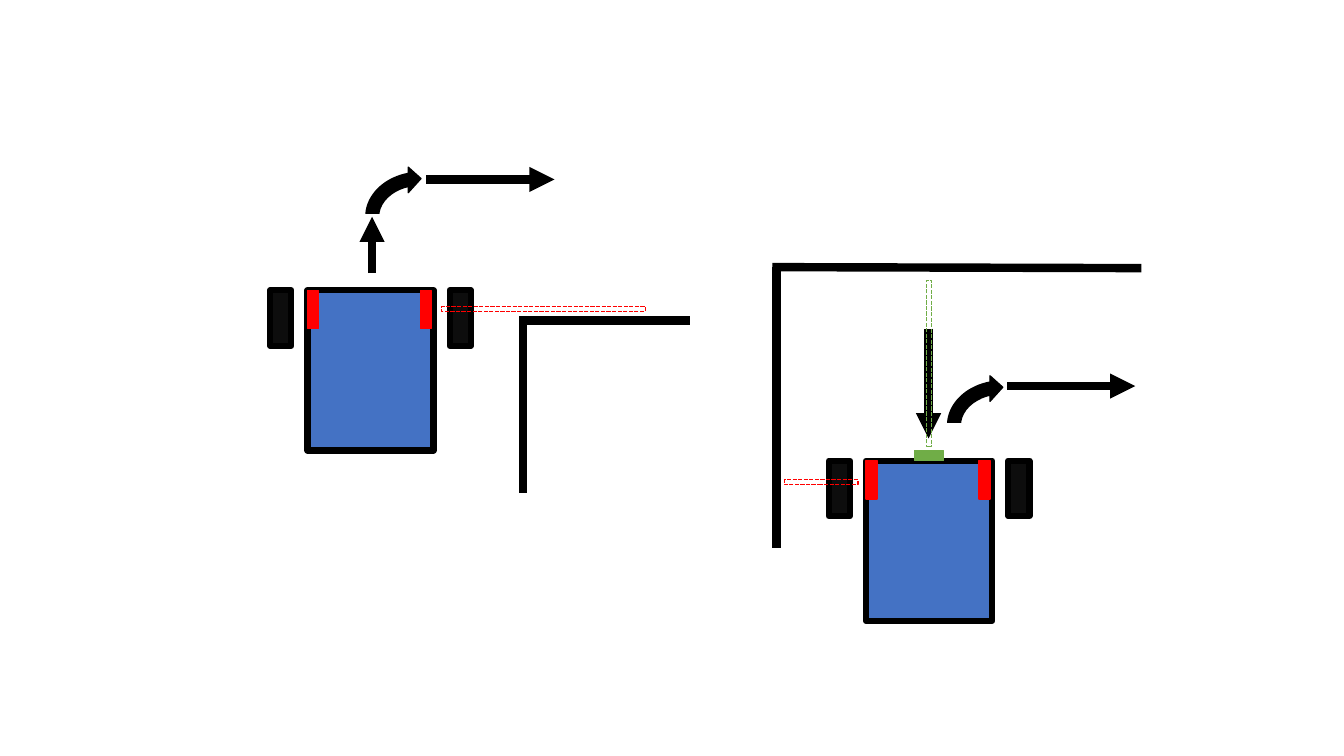
from dataclasses import dataclass

from lxml import etree
from pptx import Presentation
from pptx.dml.color import RGBColor
from pptx.enum import dml, shapes
from pptx.oxml import ns
from pptx.util import Inches, Pt

BLACK = RGBColor(0x00, 0x00, 0x00)
TYRE = RGBColor(0x0D, 0x0D, 0x0D)
WHITE = RGBColor(0xFF, 0xFF, 0xFF)
BLUE = RGBColor(0x44, 0x72, 0xC4)
RED = RGBColor(0xFF, 0x00, 0x00)
GREEN = RGBColor(0x70, 0xAD, 0x47)


@dataclass(frozen=True)
class Block:
    left: float
    top: float
    width: float
    height: float
    fill: RGBColor | None
    outline: RGBColor
    weight: float = 1
    kind: shapes.MSO_SHAPE = shapes.MSO_SHAPE.RECTANGLE
    rotation: float = 0


@dataclass(frozen=True)
class Stroke:
    x1: float
    y1: float
    x2: float
    y2: float


@dataclass(frozen=True)
class Scene:
    walls: tuple[Stroke, ...]
    turn: tuple[float, float]
    moves: tuple[Stroke, ...]
    robot: tuple[float, float]
    sensing: tuple[Block, ...]


ROBOT = (
    Block(0, 0, 1.25, 1.59, BLUE, BLACK, 4.5),
    *(Block(x, 0, 0.21, 0.55, TYRE, BLACK, 4.5) for x in (-0.37, 1.41)),
    *(Block(x, 0, 0.11, 0.38, RED, RED) for x in (1.12, 0)),
)
TURN = (
    Block(0, 0, 1.01, 1.22, BLACK, BLACK, 1, shapes.MSO_SHAPE.CIRCULAR_ARROW, 270),
    Block(-0.37, 0.59, 1.08, 0.53, WHITE, WHITE),
)

SCENES = (
    Scene(
        walls=(Stroke(5.19, 3.14, 5.19, 4.89), Stroke(5.19, 3.18, 6.84, 3.18)),
        turn=(3.67, 1.54),
        moves=(Stroke(3.69, 2.71, 3.69, 2.15), Stroke(4.23, 1.78, 5.5, 1.78)),
        robot=(3.05, 2.88),
        sensing=(Block(4.38, 3.04, 2.02, 0.05, None, RED),),
    ),
    Scene(
        walls=(Stroke(7.7, 2.65, 7.7, 5.44), Stroke(7.66, 2.65, 11.32, 2.66)),
        turn=(9.44, 3.61),
        moves=(Stroke(9.21, 3.26, 9.21, 4.35), Stroke(9.99, 3.83, 11.26, 3.83)),
        robot=(8.59, 4.57),
        sensing=(
            Block(7.78, 4.76, 0.73, 0.05, None, RED),
            Block(9.07, 4.47, 0.29, 0.1, GREEN, GREEN),
            Block(9.19, 2.78, 0.05, 1.65, None, GREEN),
        ),
    ),
)


def draw_block(canvas, block: Block, dx: float = 0, dy: float = 0) -> None:
    shape = canvas.add_shape(
        block.kind,
        Inches(block.left + dx), Inches(block.top + dy),
        Inches(block.width), Inches(block.height),
    )
    shape.rotation = block.rotation
    shape.shadow.inherit = False
    shape.line.color.rgb = block.outline
    shape.line.width = Pt(block.weight)
    if block.fill is None:
        shape.fill.background()
        shape.line.dash_style = dml.MSO_LINE.SQUARE_DOT
    else:
        shape.fill.solid()
        shape.fill.fore_color.rgb = block.fill


def draw_group(canvas, blocks: tuple[Block, ...], origin: tuple[float, float]) -> None:
    group = canvas.add_group_shape()
    for block in blocks:
        draw_block(group.shapes, block, *origin)


def draw_stroke(canvas, stroke: Stroke, arrow: bool = False) -> None:
    line = canvas.add_connector(
        shapes.MSO_CONNECTOR.STRAIGHT,
        Inches(stroke.x1), Inches(stroke.y1), Inches(stroke.x2), Inches(stroke.y2),
    )
    line.line.color.rgb = BLACK
    line.line.width = Pt(6)
    if arrow:
        etree.SubElement(line.line._get_or_add_ln(), ns.qn("a:tailEnd"), type="triangle")
    etree.SubElement(line._element.spPr, ns.qn("a:effectLst"))


def draw_scene(canvas, scene: Scene) -> None:
    for wall in scene.walls:
        draw_stroke(canvas, wall)
    draw_group(canvas, TURN, scene.turn)
    for move in scene.moves:
        draw_stroke(canvas, move, arrow=True)
    draw_group(canvas, ROBOT, scene.robot)
    for block in scene.sensing:
        draw_block(canvas, block)


def main() -> None:
    deck = Presentation()
    deck.slide_width = Inches(13.33)
    deck.slide_height = Inches(7.5)
    slide = deck.slides.add_slide(deck.slide_layouts[6])
    for scene in SCENES:
        draw_scene(slide.shapes, scene)
    deck.save("out.pptx")


if __name__ == "__main__":
    main()
